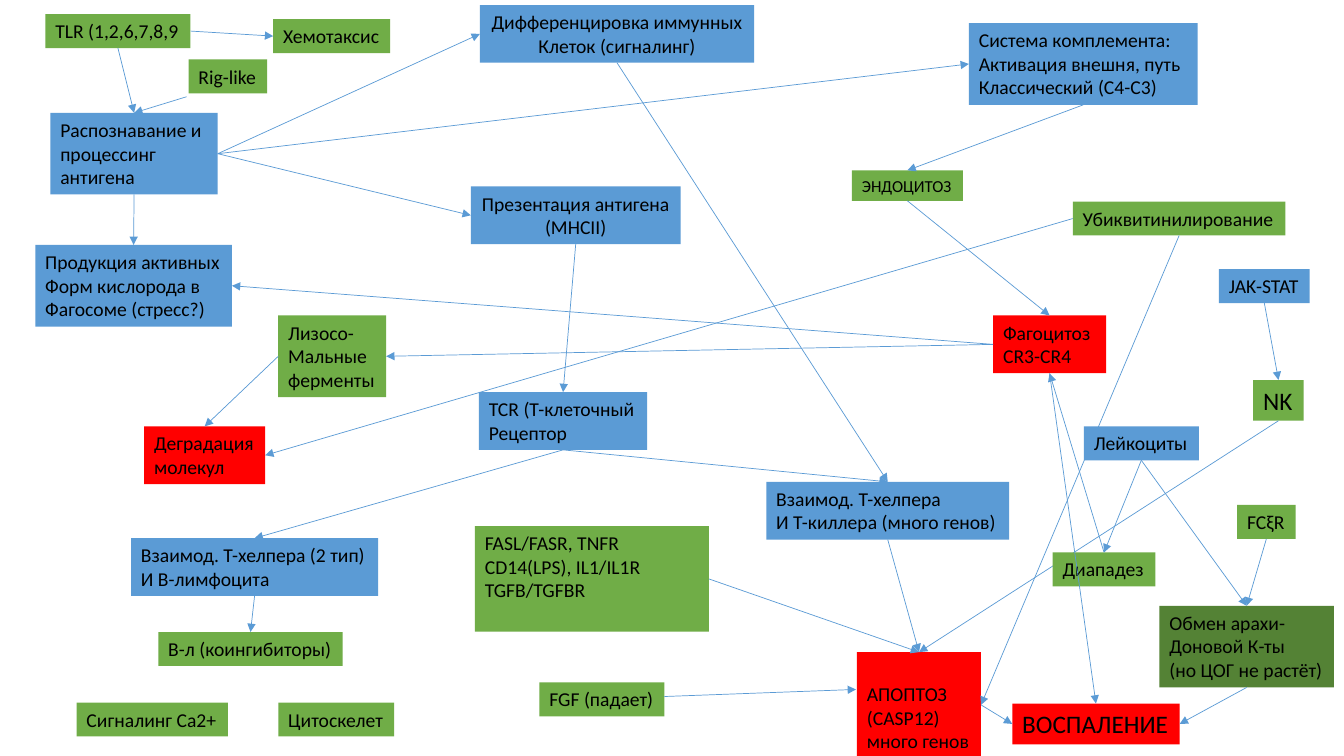
"""Build a slide mapping immune signalling pathways as boxes joined by arrows."""
import pptx
import pptx.dml.color
import pptx.enum.shapes
import pptx.enum.text
import pptx.util
from lxml import etree

COLORS = {"blue": "5B9BD5", "green": "70AD47", "dark": "548235", "red": "FF0000", "text": "000000"}
ALIGN = pptx.enum.text.PP_ALIGN
ANCHOR = pptx.enum.text.MSO_ANCHOR
TOP, LEFT, BOTTOM, RIGHT = range(4)

prs = pptx.Presentation()
prs.slide_width = pptx.util.Inches(13.33)
prs.slide_height = pptx.util.Inches(7.5)
COL = prs.slide_width / 1333
ROW = prs.slide_height / 750
s = prs.slides.add_slide(prs.slide_layouts[6])


def rgb(name):
    return pptx.dml.color.RGBColor.from_string(COLORS[name])


def add_box(text, col, row, cols, color, size=14, align=ALIGN.LEFT, lines=None, wrap=False, anchor=ANCHOR.TOP):
    rows = 10 + (lines or len(text.split("\n"))) * size * 1.69
    sp = s.shapes.add_shape(pptx.enum.shapes.MSO_SHAPE.RECTANGLE,
                            int(col * COL), int(row * ROW), int(cols * COL), int(rows * ROW))
    sp.shadow.inherit = False
    sp.fill.solid()
    sp.fill.fore_color.rgb = rgb(color)
    sp.line.fill.background()
    tf = sp.text_frame
    tf.word_wrap = wrap
    tf.vertical_anchor = anchor
    tf.text = text
    for p in tf.paragraphs:
        p.alignment = align
        for r in p.runs:
            r.font.name = "Calibri"
            r.font.size = pptx.util.Pt(size)
            r.font.color.rgb = rgb("text")
    return sp


def add_arrow(col1=0, row1=0, col2=0, row2=0):
    cx = s.shapes.add_connector(pptx.enum.shapes.MSO_CONNECTOR.STRAIGHT,
                                int(col1 * COL), int(row1 * ROW), int(col2 * COL), int(row2 * ROW))
    cx.line.color.rgb = rgb("blue")
    cx.line.width = pptx.util.Pt(0.5)
    ln = cx.line._get_or_add_ln()
    etree.SubElement(ln, pptx.oxml.ns.qn("a:tailEnd"), type="triangle")
    etree.SubElement(ln.getparent(), pptx.oxml.ns.qn("a:effectLst"))
    return cx


boxes = [
    ("antigen", "Распознавание и\nпроцессинг\nантигена", 50, 112, 166, "blue", {}),
    ("oxygen", "Продукция активных\nФорм кислорода в\nФагосоме (стресс?)", 35, 243, 195, "blue", {}),
    ("differentiation", "Дифференцировка иммунных\nКлеток (сигналинг)", 476, 5, 272, "blue",
     {"align": ALIGN.CENTER}),
    ("presentation", "Презентация антигена\n(MHCII)", 467, 185, 208, "blue", {"align": ALIGN.CENTER}),
    ("helper_b", "Взаимод. Т-хелпера (2 тип)\nИ B-лимфоцита", 130, 534, 245, "blue", {}),
    ("tcr", "TCR (Т-клеточный\nРецептор", 475, 389, 167, "blue", {}),
    ("helper_killer", "Взаимод. Т-хелпера\nИ Т-киллера (много генов)", 760, 478, 241, "blue", {}),
    ("apoptosis", "АПОПТОЗ\n(CASP12)\nмного генов", 850, 647, 123, "red",
     {"lines": 4, "anchor": ANCHOR.BOTTOM}),
    ("complement", "Система комплемента:\nАктивация внешня, путь\nКлассический (C4-C3)", 961, 23, 227, "blue", {}),
    ("phagocytosis", "Фагоцитоз\nCR3-CR4", 985, 313, 112, "red", {}),
    ("leukocytes", "Лейкоциты", 1075, 423, 114, "blue", {}),
    ("jak_stat", "JAK-STAT", 1209, 267, 90, "blue", {}),
    ("arachidonic", "Обмен арахи-\nДоновой К-ты\n(но ЦОГ не растёт)", 1150, 601, 173, "dark", {}),
    ("fasl", "FASL/FASR, TNFR\nCD14(LPS), IL1/IL1R\nTGFB/TGFBR", 471, 522, 232, "green",
     {"lines": 4, "wrap": True}),
    ("fgf", "FGF (падает)", 535, 677, 124, "green", {}),
    ("calcium", "Сигналинг Ca2+", 76, 697, 150, "green", {}),
    ("ubiquitin", "Убиквитинилирование", 1064, 200, 211, "green", {}),
    ("degradation", "Деградация\nмолекул", 143, 423, 120, "red", {}),
    ("lysosome", "Лизосо-\nМальные\nферменты", 276, 313, 107, "green", {}),
    ("endocytosis", "ЭНДОЦИТОЗ", 845, 169, 110, "green", {"size": 12}),
    ("tlr", "TLR (1,2,6,7,8,9", 45, 14, 144, "green", {}),
    ("chemotaxis", "Хемотаксис", 271, 19, 116, "green", {}),
    ("rig", "Rig-like", 187, 59, 78, "green", {}),
    ("nk", "NK", 1243, 377, 50, "green", {"size": 18}),
    ("fcr", "FCξR", 1227, 501, 58, "green", {}),
    ("coinhibitors", "B-л (коингибиторы)", 157, 627, 183, "green", {}),
    ("diapedesis", "Диападез", 1044, 548, 102, "green", {}),
    ("cytoskeleton", "Цитоскелет", 276, 697, 115, "green", {}),
    ("inflammation", "ВОСПАЛЕНИЕ", 1004, 698, 166, "red", {"size": 18}),
]
arrows = [
    ("antigen", BOTTOM, "oxygen", TOP),
    ("antigen", RIGHT, "differentiation", LEFT),
    ("antigen", RIGHT, "presentation", LEFT),
    ("antigen", RIGHT, "complement", LEFT),
    ("presentation", BOTTOM, "tcr", TOP),
    ("tcr", BOTTOM, "helper_b", TOP),
    ("tcr", BOTTOM, "helper_killer", TOP),
    ("helper_killer", BOTTOM, "apoptosis", TOP),
    ("complement", BOTTOM, "endocytosis", TOP),
    ("phagocytosis", LEFT, "oxygen", RIGHT),
    ("differentiation", BOTTOM, "helper_killer", TOP),
    ("leukocytes", BOTTOM, "arachidonic", TOP),
    ("fasl", RIGHT, "apoptosis", TOP),
    ("ubiquitin", BOTTOM, "apoptosis", RIGHT),
    ("ubiquitin", LEFT, "degradation", RIGHT),
    ("phagocytosis", LEFT, "lysosome", RIGHT),
    ("lysosome", LEFT, "degradation", TOP),
    ("endocytosis", BOTTOM, "phagocytosis", TOP),
    ("tlr", BOTTOM, "antigen", TOP),
    ("tlr", RIGHT, "chemotaxis", LEFT),
    ("jak_stat", BOTTOM, "nk", TOP),
    ("nk", BOTTOM, "apoptosis", TOP),
    ("fcr", BOTTOM, "arachidonic", TOP),
    ("helper_b", BOTTOM, "coinhibitors", TOP),
    ("leukocytes", BOTTOM, "diapedesis", TOP),
    ("diapedesis", TOP, "phagocytosis", BOTTOM),
    ("arachidonic", BOTTOM, "inflammation", RIGHT),
    ("phagocytosis", BOTTOM, "inflammation", TOP),
    ("apoptosis", RIGHT, "inflammation", LEFT),
]
free_arrows = [(659, 691, 849, 684), (185, 96, 133, 112)]

placed = {}
for name, text, col, row, cols, color, style in boxes:
    placed[name] = add_box(text, col, row, cols, color, **style)
    for start, start_side, end, end_side in arrows:
        if name in (start, end) and start in placed and end in placed:
            cx = add_arrow()
            cx.begin_connect(placed[start], start_side)
            cx.end_connect(placed[end], end_side)

for points in free_arrows:
    add_arrow(*points)

prs.save("out.pptx")
